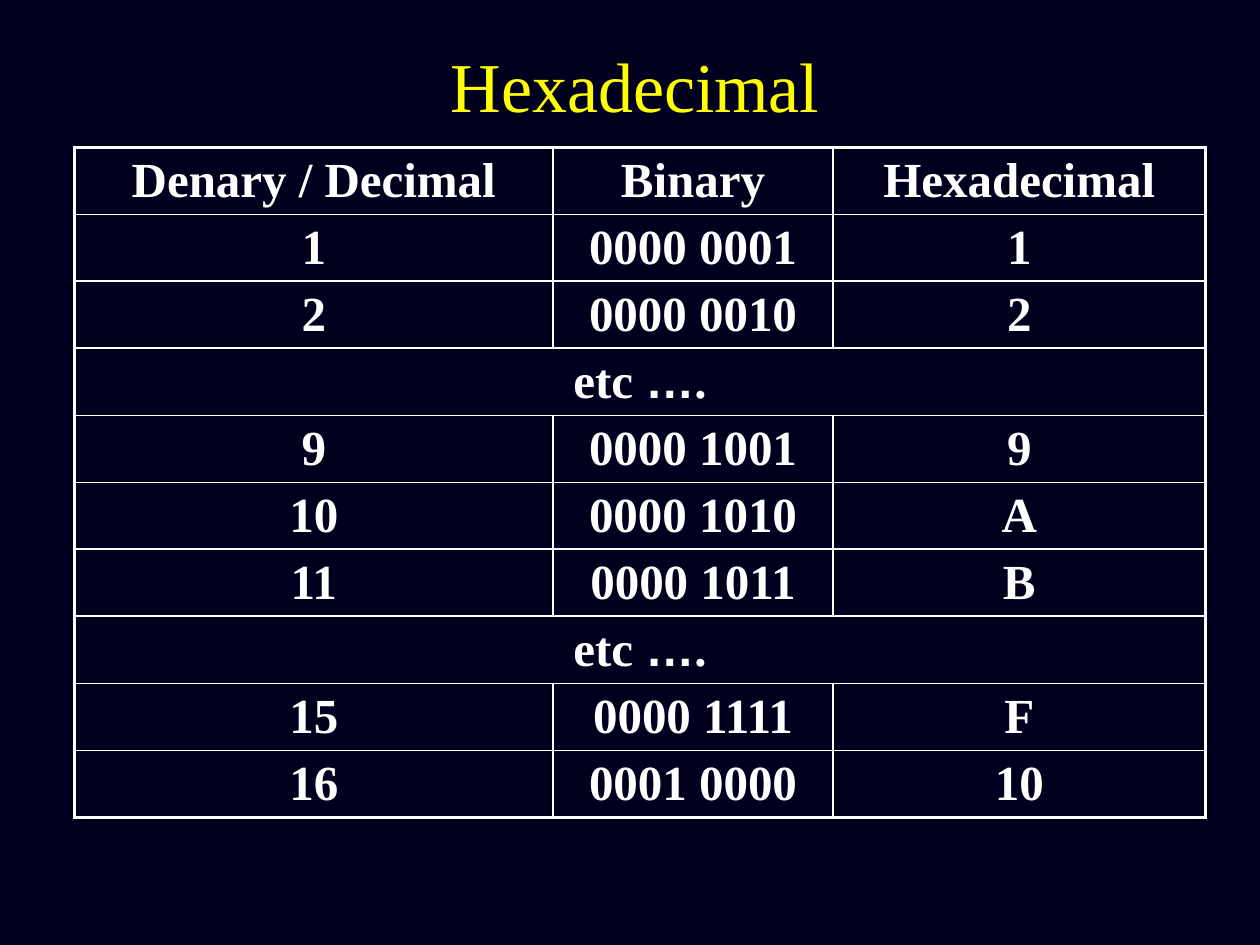
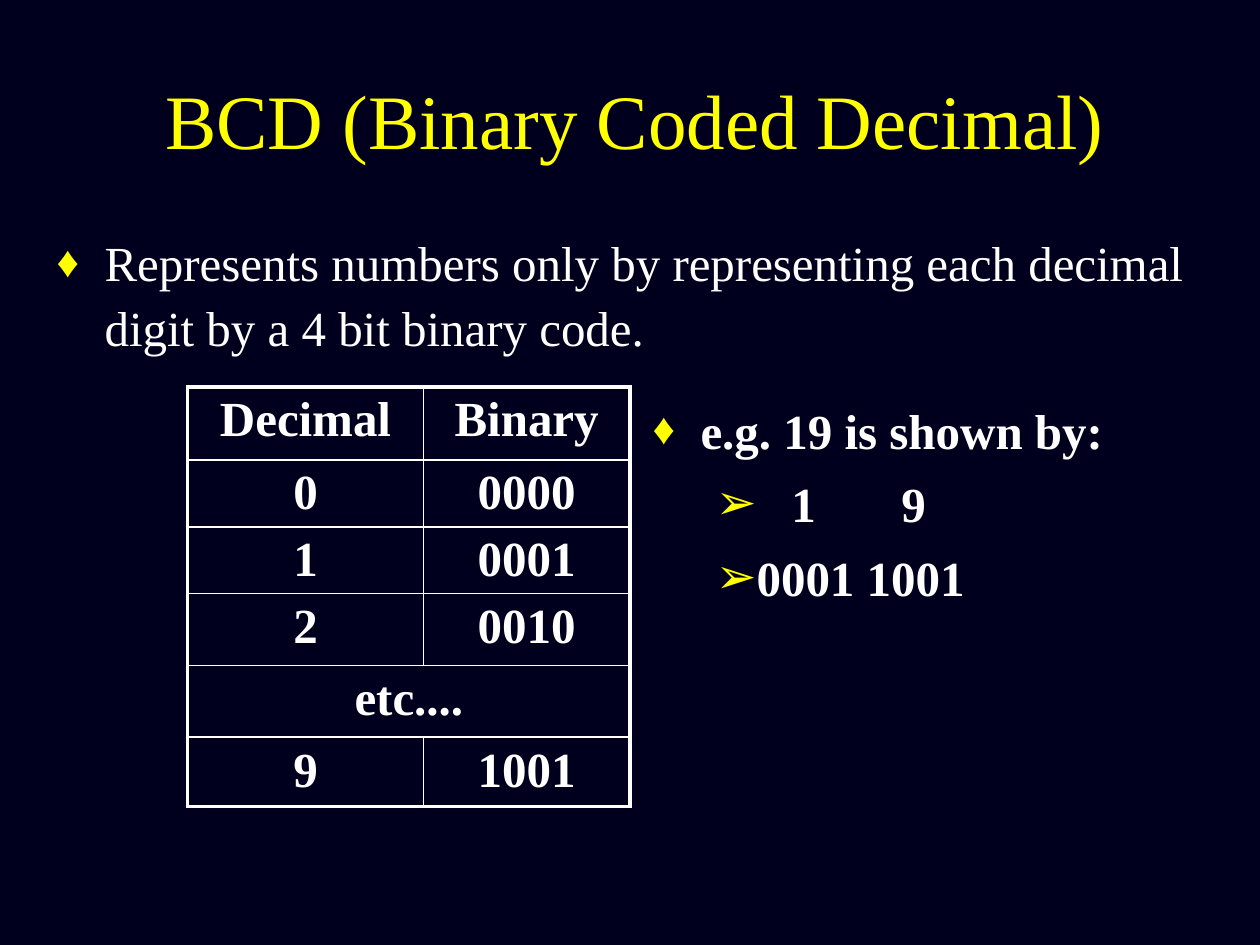
from typing import NamedTuple

from lxml.etree import SubElement
from pptx import Presentation
from pptx.dml.color import RGBColor
from pptx.enum.text import MSO_ANCHOR, MSO_AUTO_SIZE, PP_ALIGN
from pptx.oxml.ns import qn
from pptx.util import Inches, Pt

# Shared look
NAVY, GOLD, WHITE = "00001E", "FFFF00", "FFFFFF"
FACE, DOTS = "Times New Roman", "Arial"
SIZE = 28
THICK, THIN = 2.25, 1
COLS, ROWS = 100, 75
UNIT = Inches(10) / COLS


class Box(NamedTuple):
    """Place on the grid, in columns and rows."""
    left: float
    top: float
    width: float
    height: float


class Item(NamedTuple):
    """One list line; hang and left are grid columns, gap is points."""
    text: str
    mark: str
    left: float
    hang: float
    scale: int = 100
    bold: bool = True
    gap: float = 0


class Grid(NamedTuple):
    """A table; a row with one entry spans all columns."""
    left: float
    top: float
    widths: list
    heights: list
    lines: list


def span(count: float) -> int:
    return round(count * UNIT)


def tint(code: str) -> RGBColor:
    return RGBColor.from_string(code)


def write(par, text: str, size: float = SIZE, color: str = WHITE,
          bold: bool = False, face: str = FACE, gap: float = 0) -> None:
    run = par.add_run()
    run.text = text
    font = run.font
    font.size, font.bold, font.name = Pt(size), bold, face
    font.color.rgb = tint(color)
    if gap:
        font._element.set("spc", str(round(gap * 100)))


def place(shape, box: Box, anchor):
    shape.left, shape.top, shape.width, shape.height = map(span, box)
    frame = shape.text_frame
    frame.word_wrap = True
    frame.auto_size = MSO_AUTO_SIZE.NONE
    frame.vertical_anchor = anchor
    return frame


def head(slide, text: str, box: Box, size: float) -> None:
    frame = place(slide.shapes.title, box, MSO_ANCHOR.MIDDLE)
    par = frame.paragraphs[0]
    par.alignment = PP_ALIGN.CENTER
    write(par, text, size=size, color=GOLD)


def mark(par, item: Item) -> None:
    props = par._p.get_or_add_pPr()
    props.set("marL", str(span(item.left)))
    props.set("indent", str(-span(item.hang)))
    SubElement(SubElement(props, qn("a:buClr")), qn("a:srgbClr"), val=GOLD)
    SubElement(props, qn("a:buSzPct"), val=str(item.scale * 1000))
    SubElement(props, qn("a:buChar"), char=item.mark)


def fill_list(shape, box: Box, items: list) -> None:
    frame = place(shape, box, MSO_ANCHOR.TOP)
    for num, item in enumerate(items):
        par = frame.add_paragraph() if num else frame.paragraphs[0]
        par.line_spacing, par.space_before = 1.1, Pt(5)
        mark(par, item)
        parts = item.text.partition(" ") if item.gap else [item.text]
        for part in parts:
            write(par, part, bold=item.bold,
                  gap=item.gap if part == " " else 0)


def edge(cell, side: str, width: float) -> None:
    line = SubElement(cell._tc.get_or_add_tcPr(), qn("a:ln" + side),
                      w=str(Pt(width)))
    SubElement(SubElement(line, qn("a:solidFill")), qn("a:srgbClr"), val=WHITE)


def draw_grid(slide, grid: Grid) -> None:
    high, wide = len(grid.heights), len(grid.widths)
    box = Box(grid.left, grid.top, sum(grid.widths), sum(grid.heights))
    table = slide.shapes.add_table(high, wide, *map(span, box)).table
    table.first_row = table.horz_banding = False
    for col, width in zip(table.columns, grid.widths):
        col.width = span(width)
    for row, height in zip(table.rows, grid.heights):
        row.height = span(height)
    for y, line in enumerate(grid.lines):
        whole = len(line) == 1
        if whole:
            table.cell(y, 0).merge(table.cell(y, wide - 1))
        for x, text in enumerate(line):
            cell = table.cell(y, x)
            outer = {"L": x == 0, "R": whole or x == wide - 1,
                     "T": y == 0, "B": y == high - 1}
            for side, rim in outer.items():
                edge(cell, side, THICK if rim else THIN)
            cell.fill.background()
            par = cell.text_frame.paragraphs[0]
            par.alignment = PP_ALIGN.CENTER
            for part in filter(None, text.partition("…")):
                write(par, part, bold=True,
                      face=DOTS if part == "…" else FACE)


# Slide contents
HEX = Grid(5.9, 11.7, [38, 22.2, 29.6], [5.3] * 10, [
    ["Denary / Decimal", "Binary", "Hexadecimal"],
    ["1", "0000 0001", "1"],
    ["2", "0000 0010", "2"],
    ["etc …."],
    ["9", "0000 1001", "9"],
    ["10", "0000 1010", "A"],
    ["11", "0000 1011", "B"],
    ["etc …."],
    ["15", "0000 1111", "F"],
    ["16", "0001 0000", "10"],
])
BCD = Grid(14.9, 30.7, [18.7, 16.4], [5.8, 5.3, 5.3, 5.7, 5.7, 5.5], [
    ["Decimal", "Binary"],
    ["0", "0000"],
    ["1", "0001"],
    ["2", "0010"],
    ["etc...."],
    ["9", "1001"],
])
RULE = [Item("Represents numbers only by representing each decimal digit "
             "by a 4 bit binary code.", "♦", 3.8, 3.8, 90, bold=False)]
CASE = [
    Item("e.g. 19 is shown by:", "♦", 3.8, 3.8, 90),
    Item("1 9", "➢", 11, 6, gap=42),
    Item("0001 1001", "➢", 8.1, 3.1),
]


def main() -> None:
    deck = Presentation()
    deck.slide_width, deck.slide_height = span(COLS), span(ROWS)
    back = deck.slide_master.background.fill
    back.solid()
    back.fore_color.rgb = tint(NAVY)

    # Hexadecimal table
    slide = deck.slides.add_slide(deck.slide_layouts[5])
    head(slide, "Hexadecimal", Box(6.7, 3.2, 87.4, 7), 40)
    draw_grid(slide, HEX)

    # Binary coded decimal: rule, table and worked case
    slide = deck.slides.add_slide(deck.slide_layouts[3])
    head(slide, "BCD (Binary Coded Decimal)", Box(6.7, 2.8, 87.4, 13.2), 44)
    fill_list(slide.placeholders[1], Box(3.5, 17.5, 94.8, 12.4), RULE)
    draw_grid(slide, BCD)
    fill_list(slide.placeholders[2], Box(50.8, 30.8, 45, 34.2), CASE)

    deck.save("out.pptx")


if __name__ == "__main__":
    main()
